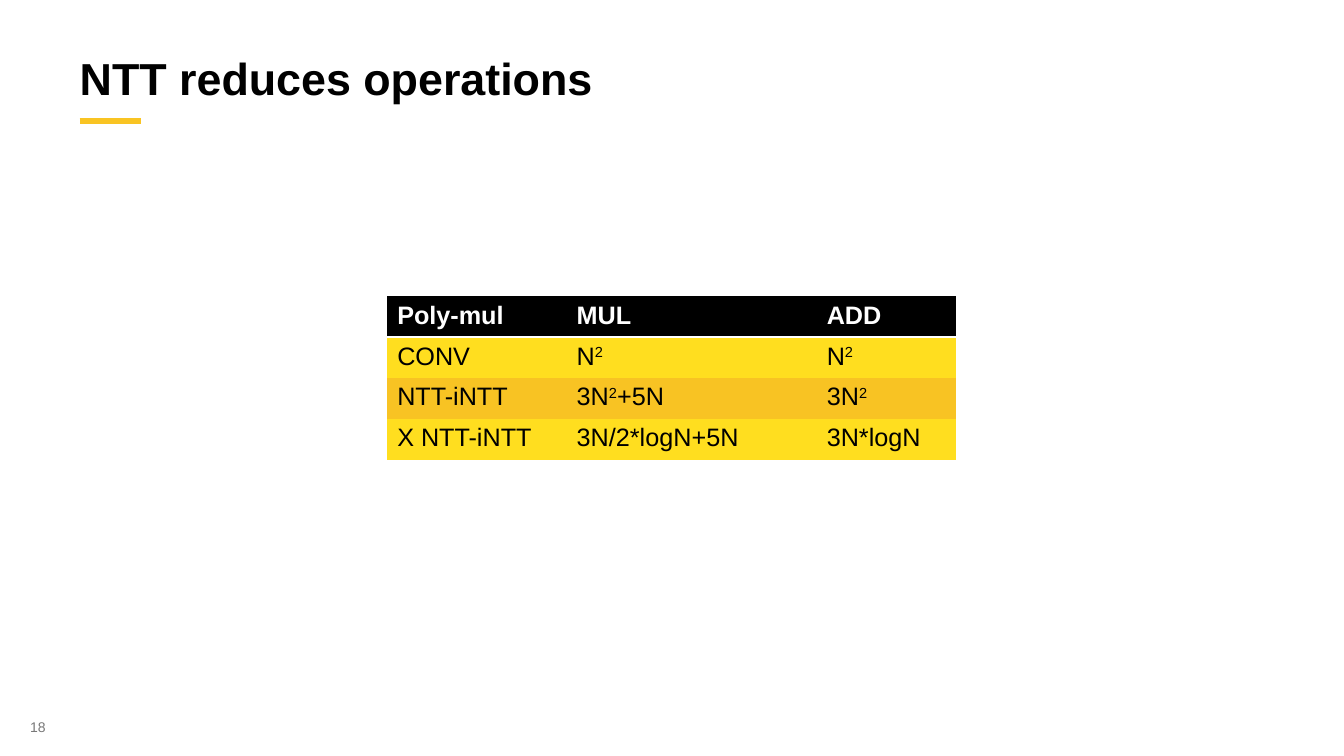
from lxml.etree import SubElement
from pptx import Presentation
from pptx.dml.color import RGBColor
from pptx.enum.shapes import MSO_CONNECTOR
from pptx.enum.text import MSO_ANCHOR
from pptx.oxml import parse_xml
from pptx.oxml.ns import nsdecls, qn
from pptx.util import Inches, Pt

BLACK = RGBColor(0x00, 0x00, 0x00)
WHITE = RGBColor(0xFF, 0xFF, 0xFF)
GREY = RGBColor(0x78, 0x78, 0x78)
GOLD = RGBColor(0xF9, 0xC4, 0x23)
YELLOW = RGBColor(0xFF, 0xDE, 0x1F)
AMBER = RGBColor(0xF8, 0xC3, 0x23)
NO_GRID = "{2D5ABB26-0587-4C30-8999-92F81FD0307C}"
MARGIN = 0.79


def add_run(p, text, size, color, bold=False):
    r = p.add_run()
    r.text = text
    r.font.name = "Arial"
    r.font.size = Pt(size)
    r.font.bold = bold
    r.font.color.rgb = color
    return r


def add_text(s, box, text, size, color, bold=False, anchor=MSO_ANCHOR.TOP):
    tf = s.shapes.add_textbox(*map(Inches, box)).text_frame
    tf.margin_left = tf.margin_right = tf.margin_top = tf.margin_bottom = 0
    tf.word_wrap = True
    tf.vertical_anchor = anchor
    add_run(tf.paragraphs[0], text, size, color, bold)


prs = Presentation()
prs.slide_width, prs.slide_height = Inches(13.33), Inches(7.5)
s = prs.slides.add_slide(prs.slide_layouts[6])

# Page number, title and the rule under it
add_text(s, (0.3, 7.13, 1, 0.17), "18", 10, GREY)
rule = s.shapes.add_connector(MSO_CONNECTOR.STRAIGHT, Inches(MARGIN), Inches(1.2),
                              Inches(1.4), Inches(1.2))
rule.line.color.rgb = GOLD
rule.line.width = Pt(4)
SubElement(rule._element.spPr, qn("a:effectLst"))
add_text(s, (MARGIN, 0.2, 11.75, 0.84), "NTT reduces operations", 32, BLACK,
         True, MSO_ANCHOR.BOTTOM)

# Operation counts; "^" splits plain and superscript parts in turn
rows = [
    ("Poly-mul", "MUL", "ADD"),
    ("CONV", "N^2", "N^2"),
    ("NTT-iNTT", "3N^2^+5N", "3N^2"),
    ("X NTT-iNTT", "3N/2*logN+5N", "3N*logN"),
]
fills = [BLACK, YELLOW, AMBER, YELLOW]
col_widths = [1.78, 2.48, 1.38]
row_height = 0.405

frame = s.shapes.add_table(len(rows), len(col_widths), Inches(3.84), Inches(2.94),
                           Inches(sum(col_widths)), Inches(row_height * len(rows)))
table = frame.table
table._tbl.tblPr.find(qn("a:tableStyleId")).text = NO_GRID
for column, width in zip(table.columns, col_widths):
    column.width = Inches(width)

for i, (row, fill) in enumerate(zip(rows, fills)):
    header = i == 0
    for j, text in enumerate(row):
        cell = table.cell(i, j)
        cell.fill.solid()
        cell.fill.fore_color.rgb = fill
        p = cell.text_frame.paragraphs[0]
        for k, part in enumerate(text.split("^")):
            r = add_run(p, part, 18, WHITE if header else BLACK, header)
            if k % 2:
                r._r.get_or_add_rPr().set("baseline", "30000")
        if header:
            # White line below the header
            cell._tc.get_or_add_tcPr().insert(0, parse_xml(
                f'<a:lnB {nsdecls("a")} w="{Pt(2)}"><a:solidFill>'
                f'<a:srgbClr val="{WHITE}"/></a:solidFill></a:lnB>'))

prs.save("out.pptx")
